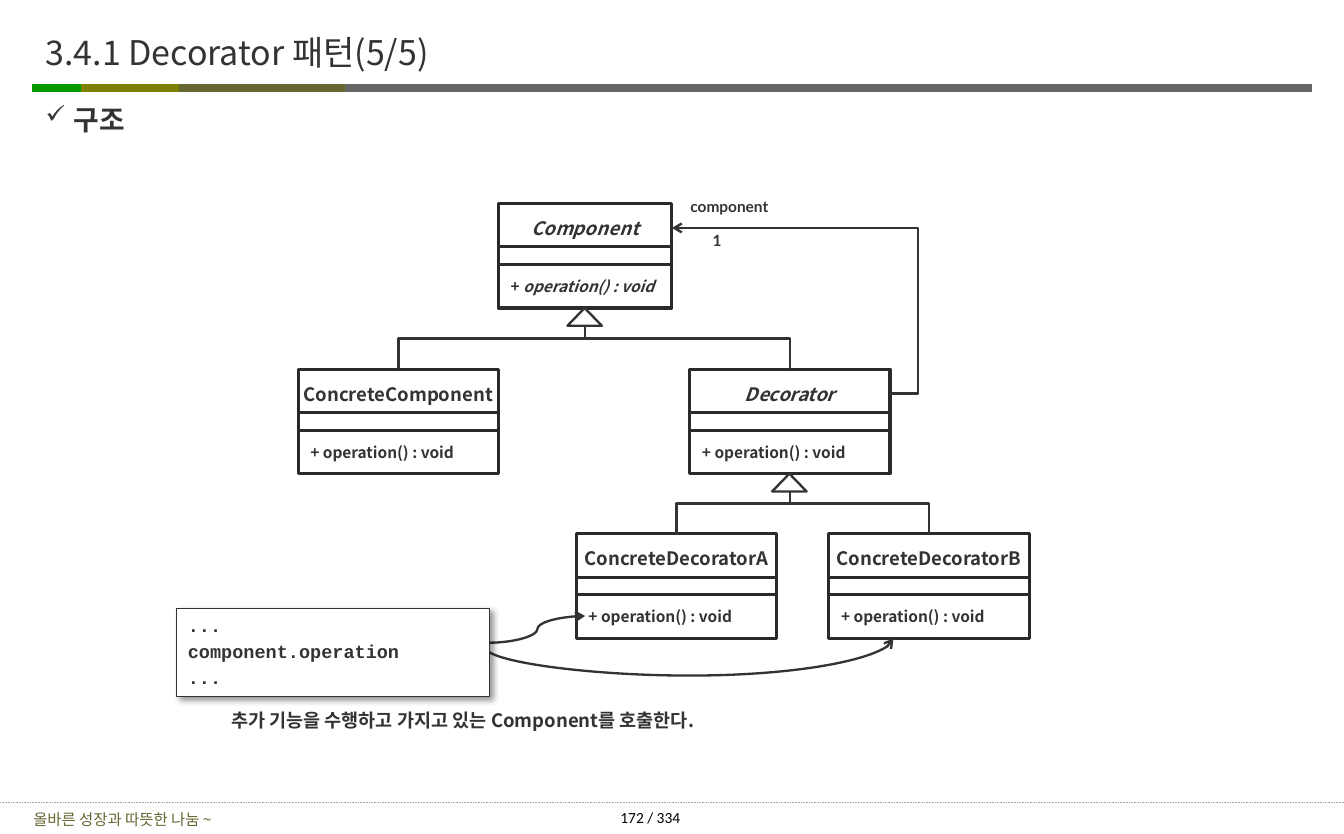
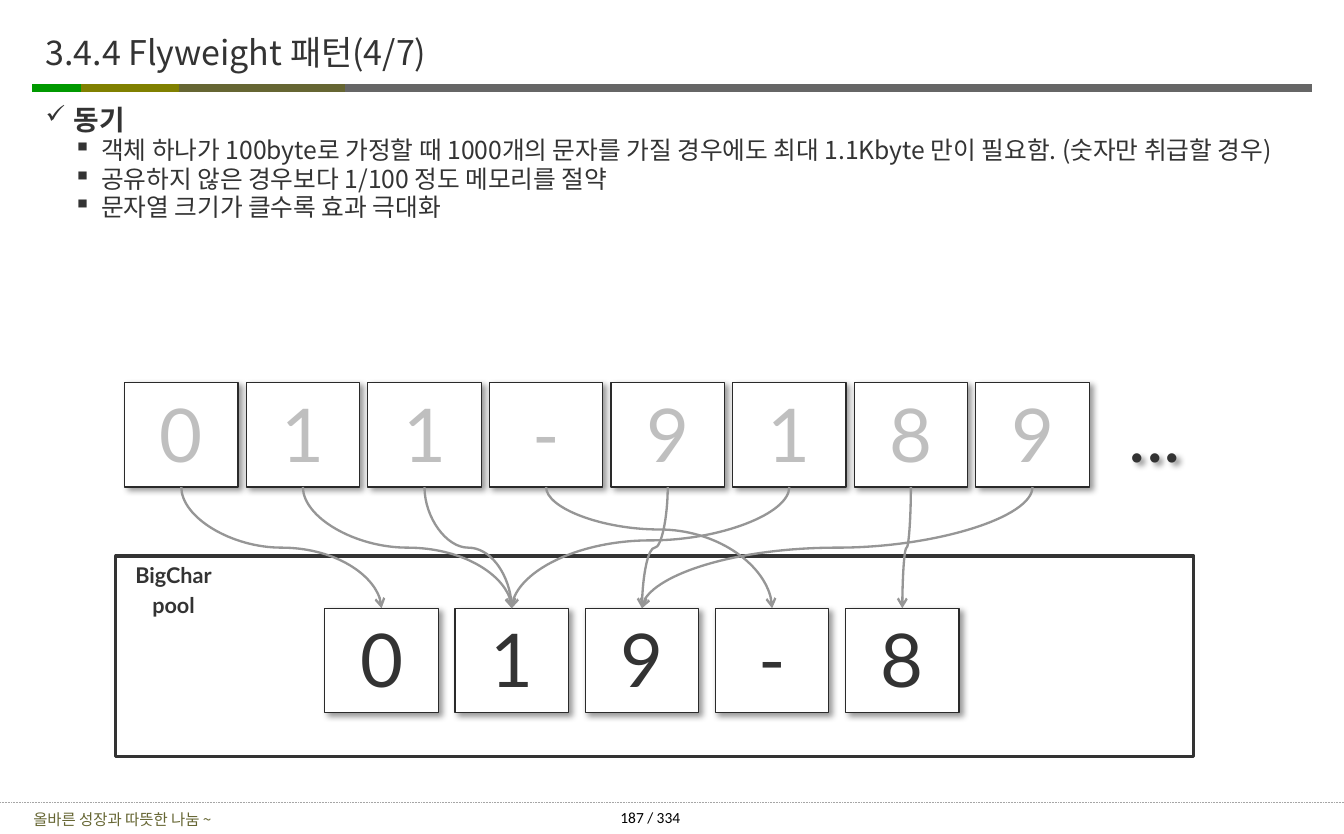
from lxml.etree import SubElement
from pptx import Presentation
from pptx.dml.color import RGBColor
from pptx.enum.dml import MSO_LINE
from pptx.enum.shapes import MSO_CONNECTOR, MSO_SHAPE
from pptx.enum.text import MSO_ANCHOR, MSO_AUTO_SIZE, PP_ALIGN
from pptx.oxml.ns import qn
from pptx.util import Inches, Pt

WIDTH, HEIGHT = 12.08, 7.5
INK, EDGE, WHITE, GREY, PALE = "333333", "2A2A2A", "FFFFFF", "969696", "BFBFBF"
OLIVE = "666633"
KOREAN, LATIN, NUMBER, CODE = "Noto Sans CJK KR", "Lato", "Calibri", "Courier New"
TOP, LEFT, BOTTOM, RIGHT = range(4)
BANDS = [(2.98, 11.79, "666666"), (0.29, 1.09, "009900"),
         (0.73, 1.66, "808000"), (1.61, 3.1, OLIVE)]
PAGE_TOTAL = 334


def rgb(value):
    return RGBColor.from_string(value)


def style_paragraph(paragraph, size, font=KOREAN, color=INK, bold=False, italic=False,
                    align=PP_ALIGN.LEFT):
    paragraph.alignment = align
    paragraph.font.size = Pt(size)
    paragraph.font.bold = bold
    paragraph.font.italic = italic
    paragraph.font.color.rgb = rgb(color)
    paragraph.font.name = font
    properties = paragraph._p.pPr.find(qn("a:defRPr"))
    SubElement(properties, qn("a:ea")).set("typeface", font)


def set_frame(shape, insets=(0.1, 0.05, 0.1, 0.05), anchor=MSO_ANCHOR.TOP, wrap=True):
    frame = shape.text_frame
    frame.auto_size = MSO_AUTO_SIZE.NONE
    frame.word_wrap = wrap
    frame.vertical_anchor = anchor
    (frame.margin_left, frame.margin_top,
     frame.margin_right, frame.margin_bottom) = map(Inches, insets)
    return frame


def write(shape, lines, size, insets=(0.1, 0.05, 0.1, 0.05), anchor=MSO_ANCHOR.TOP,
          wrap=True, **style):
    frame = set_frame(shape, insets, anchor, wrap)
    for index, line in enumerate(lines):
        paragraph = frame.add_paragraph() if index else frame.paragraphs[0]
        paragraph.text = line
        if index:
            paragraph.space_before = Pt(size * 0.2)
        style_paragraph(paragraph, size, **style)
    return shape


def add_label(slide, box, lines, size, **style):
    return write(slide.shapes.add_textbox(*map(Inches, box)), lines, size, **style)


def add_box(slide, box, line_color, line_width, kind=MSO_SHAPE.RECTANGLE):
    shape = slide.shapes.add_shape(kind, *map(Inches, box))
    shape.shadow.inherit = False
    shape.fill.solid()
    shape.fill.fore_color.rgb = rgb(WHITE)
    shape.line.color.rgb = rgb(line_color)
    shape.line.width = Pt(line_width)
    return shape


def drop_shadow(shape):
    shape.shadow.inherit = False
    effects = shape.element.spPr.find(qn("a:effectLst"))
    shadow = SubElement(effects, qn("a:outerShdw"), blurRad=str(Pt(4)), dist=str(Pt(3)),
                        dir=str(45 * 60000), algn="tl", rotWithShape="0")
    color = SubElement(shadow, qn("a:srgbClr"), val="000000")
    SubElement(color, qn("a:alpha"), val="40000")


def style_line(connector, color, width, arrow=False):
    connector.line.color.rgb = rgb(color)
    connector.line.width = Pt(width)
    properties = connector.element.spPr
    if arrow:
        SubElement(properties.find(qn("a:ln")), qn("a:tailEnd"), type="arrow")
    SubElement(properties, qn("a:effectLst"))


def add_line(slide, x1, x2, y, color, width):
    connector = slide.shapes.add_connector(
        MSO_CONNECTOR.STRAIGHT, Inches(x1), Inches(y), Inches(x2), Inches(y))
    style_line(connector, color, width)
    return connector


def leave_vertically(connector):
    """Turn a bent or curved connector so that both its ends run up or down."""
    x1, y1 = connector.begin_x, connector.begin_y
    dx, dy = connector.end_x - x1, connector.end_y - y1
    connector.width, connector.height = abs(dy), abs(dx)
    connector.left = x1 + (dx - abs(dy)) // 2
    connector.top = y1 + (dy - abs(dx)) // 2
    transform = connector.element.spPr.find(qn("a:xfrm"))
    transform.set("rot", str((90 if dx * dy < 0 else 270) * 60000))
    transform.set("flipH", str(int(dx > 0)))
    transform.set("flipV", str(int(dy < 0)))


def set_bend(connector, bend):
    guides = connector.element.spPr.find(qn("a:prstGeom")).find(qn("a:avLst"))
    SubElement(guides, qn("a:gd"), name="adj1", fmla=f"val {round(bend * 100000)}")


def join(slide, kind, start, start_side, end, end_side, color=INK, bend=0.5, arrow=False):
    connector = slide.shapes.add_connector(kind, 0, 0, 0, 0)
    connector.begin_connect(start, start_side)
    connector.end_connect(end, end_side)
    if start_side in (TOP, BOTTOM):
        leave_vertically(connector)
    set_bend(connector, bend)
    style_line(connector, color, 1.5, arrow)


def add_curve(slide, start, end, bend=0.5, vertical=False):
    connector = slide.shapes.add_connector(
        MSO_CONNECTOR.CURVE, *map(Inches, (*start, *end)))
    if vertical:
        leave_vertically(connector)
    set_bend(connector, bend)
    style_line(connector, INK, 1.5, arrow=True)


def add_page(presentation, title, number):
    slide = presentation.slides.add_slide(presentation.slide_layouts[5])
    for x1, x2, color in BANDS:
        add_line(slide, x1, x2, 0.79, color, 5)
    add_line(slide, 0, WIDTH, 7.22, "A6A6A6", 0.5).line.dash_style = MSO_LINE.ROUND_DOT
    add_label(slide, (0, 7.24, 2.2, 0.26), ["올바른 성장과 따뜻한 나눔 ~"], 10, color=OLIVE,
              anchor=MSO_ANCHOR.MIDDLE, align=PP_ALIGN.CENTER)
    add_label(slide, (5.23, 7.22, 1.23, 0.27), [f"{number} / {PAGE_TOTAL}"], 10,
              font=NUMBER, color="000000", align=PP_ALIGN.CENTER)
    heading = slide.shapes.title
    heading.left, heading.top, heading.width, heading.height = map(
        Inches, (0.37, 0.15, 10, 0.63))
    write(heading, [title], 22, insets=(0.04,) * 4, anchor=MSO_ANCHOR.MIDDLE)
    return slide


def set_bullet(paragraph, character, indent, percent):
    properties = paragraph._p.get_or_add_pPr()
    properties.set("marL", str(Inches(indent)))
    properties.set("indent", str(Inches(-0.25)))
    color = SubElement(properties, qn("a:buClr"))
    SubElement(color, qn("a:srgbClr"), val=INK)
    SubElement(properties, qn("a:buSzPct"), val=str(percent * 1000))
    SubElement(properties, qn("a:buChar"), char=character)


def add_outline(slide, heading, points=()):
    box = slide.shapes.add_textbox(*map(Inches, (0.37, 0.94, 11.5, 1.23)))
    frame = set_frame(box, insets=(0.04,) * 4)
    paragraph = frame.paragraphs[0]
    paragraph.text = heading
    paragraph.line_spacing = 0.8
    set_bullet(paragraph, "✓", 0.25, 90)
    style_paragraph(paragraph, 18, bold=True)
    for point in points:
        paragraph = frame.add_paragraph()
        paragraph.text = point
        paragraph.line_spacing = 0.8
        paragraph.space_before = Pt(3.2)
        set_bullet(paragraph, "▪", 0.5, 100)
        style_paragraph(paragraph, 16)


def add_class(slide, left, top, name, width=1.8, italic_name=False, italic_operation=False):
    """Draw a class box; return its name and operation compartments."""
    header = add_box(slide, (left, top, width, 0.44), EDGE, 2)
    write(header, [name], 12, insets=(0, 0.05, 0, 0.05), anchor=MSO_ANCHOR.MIDDLE,
          wrap=False, bold=True, italic=italic_name, align=PP_ALIGN.CENTER)
    add_box(slide, (left, top + 0.39, width, 0.16), EDGE, 2)
    operation = add_box(slide, (left, top + 0.55, width, 0.39), EDGE, 2)
    write(operation, ["+ "], 10, insets=(0.11, 0.05, 0, 0.05),
          anchor=MSO_ANCHOR.MIDDLE, bold=True)
    signature = operation.text_frame.paragraphs[0].add_run()
    signature.text = "operation() : void"
    signature.font.italic = italic_operation
    return header, operation


def add_inheritance(slide, parent_operation, child_headers):
    for header in child_headers:
        join(slide, MSO_CONNECTOR.ELBOW, header, TOP, parent_operation, BOTTOM)
    center = (parent_operation.left + parent_operation.width / 2) / Inches(1)
    bottom = (parent_operation.top + parent_operation.height) / Inches(1)
    add_box(slide, (center - 0.16, bottom, 0.31, 0.16), INK, 1.5,
            MSO_SHAPE.ISOSCELES_TRIANGLE)


def add_call_note(slide, left, top):
    add_curve(slide, (left + 2.81, top + 0.31), (5.26, 5.54))
    add_curve(slide, (left + 2.77, top + 0.35), (8.03, 5.74), bend=-3.2, vertical=True)
    note = add_box(slide, (left, top, 2.81, 0.79), INK, 0.75)
    drop_shadow(note)
    write(note, ["...", "component.operation", "..."], 12, font=CODE, bold=True)
    add_label(slide, (left + 0.39, top + 0.86, 4.53, 0.3),
              ["추가 기능을 수행하고 가지고 있는 Component를 호출한다."], 12, bold=True)


def build_decorator(presentation):
    slide = add_page(presentation, "3.4.1 Decorator 패턴(5/5)", 172)
    add_outline(slide, "구조")
    component, component_operation = add_class(
        slide, 4.48, 1.83, "Component", 1.56, italic_name=True, italic_operation=True)
    concrete, _ = add_class(slide, 2.68, 3.32, "ConcreteComponent")
    decorator, decorator_operation = add_class(
        slide, 6.2, 3.32, "Decorator", italic_name=True)
    decorator_a, _ = add_class(slide, 5.18, 4.8, "ConcreteDecoratorA")
    decorator_b, _ = add_class(slide, 7.45, 4.8, "ConcreteDecoratorB")
    add_inheritance(slide, component_operation, [concrete, decorator])
    add_inheritance(slide, decorator_operation, [decorator_a, decorator_b])
    join(slide, MSO_CONNECTOR.ELBOW, decorator, RIGHT, component, RIGHT,
         bend=-0.13, arrow=True)
    for box, text in [((6.06, 1.72, 0.99, 0.27), "component"), ((6.3, 2.03, 0.29, 0.27), "1")]:
        add_label(slide, box, [text], 10, font=LATIN, bold=True, wrap=False,
                  align=PP_ALIGN.CENTER)
    add_call_note(slide, 1.59, 5.47)


def add_tiles(slide, left, top, step, characters, color):
    tiles = []
    for index, character in enumerate(characters):
        tile = add_box(slide, (left + index * step, top, 1.02, 0.94), EDGE, 0.75)
        drop_shadow(tile)
        write(tile, [character], 48, font=LATIN, color=color, align=PP_ALIGN.CENTER)
        tiles.append(tile)
    return tiles


def add_character_pool(slide, left, top):
    text, pool = "011-9189", "019-8"
    bends = {3: 0.35, 5: 0.44}
    add_box(slide, (left, top, 9.69, 1.8), INK, 2)
    text_tiles = add_tiles(slide, left + 0.08, top - 1.56, 7.65 / 7, text, PALE)
    ellipsis = add_label(slide, (left + 8.83, top - 1.56, 1.02, 0.94), ["..."], 48,
                         font=LATIN, align=PP_ALIGN.CENTER)
    drop_shadow(ellipsis)
    pool_tiles = add_tiles(slide, left + 1.88, top + 0.47, 1.17, pool, INK)
    add_label(slide, (left + 0.03, top, 0.98, 0.62), ["BigChar", "pool"], 14, font=LATIN,
              bold=True, wrap=False, align=PP_ALIGN.CENTER)
    for index, character in enumerate(text):
        join(slide, MSO_CONNECTOR.CURVE, text_tiles[index], BOTTOM,
             pool_tiles[pool.index(character)], TOP, GREY, bends.get(index, 0.5), arrow=True)


def build_flyweight(presentation):
    slide = add_page(presentation, "3.4.4 Flyweight 패턴(4/7)", 187)
    add_outline(slide, "동기", [
        "객체 하나가 100byte로 가정할 때 1000개의 문자를 가질 경우에도 최대 1.1Kbyte 만이 필요함. "
        "(숫자만 취급할 경우)",
        "공유하지 않은 경우보다 1/100 정도 메모리를 절약",
        "문자열 크기가 클수록 효과 극대화",
    ])
    add_character_pool(slide, 1.04, 5)


def main():
    presentation = Presentation()
    presentation.slide_width = Inches(WIDTH)
    presentation.slide_height = Inches(HEIGHT)
    build_decorator(presentation)
    build_flyweight(presentation)
    presentation.save("out.pptx")


if __name__ == "__main__":
    main()
